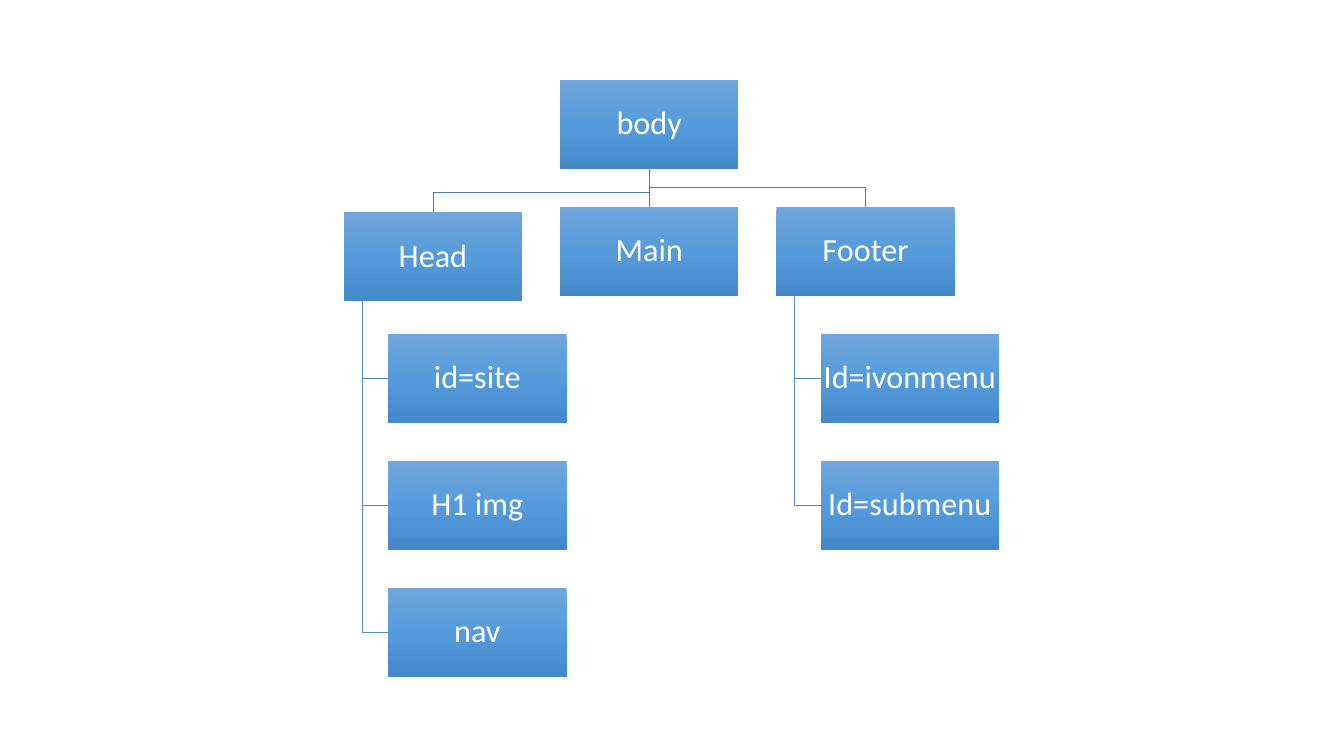
from copy import deepcopy
from dataclasses import dataclass

from pptx import Presentation
from pptx.dml.color import RGBColor
from pptx.enum.shapes import MSO_CONNECTOR as Link, MSO_SHAPE as Shape
from pptx.enum.text import MSO_ANCHOR as Anchor, PP_ALIGN as Align
from pptx.oxml.ns import qn
from pptx.shapes.shapetree import SlideShapes
from pptx.util import Inches, Pt
from lxml.etree import SubElement

WHITE = RGBColor(0xFF, 0xFF, 0xFF)
TRUNK = RGBColor(0x49, 0x7C, 0xAB)
TWIG = RGBColor(0x53, 0x8D, 0xC1)
SHADES = (
    RGBColor(0x71, 0xA6, 0xDB),
    RGBColor(0x55, 0x9B, 0xDB),
    RGBColor(0x44, 0x8A, 0xCA),
)
FONT = "Calibri"
WIDE, HIGH = 1.77, 0.89
LEFT, TOP = 3.41, 0.79
COL, ROW = 2.145, 1.26
INDENT, STEM, BEND = 0.44, 0.18, 0.19


@dataclass(frozen=True)
class Node:
    """A labelled box, placed by its top left corner in inches."""

    label: str
    left: float
    top: float

    @property
    def mid(self) -> float:
        """Centre of the box across."""
        return self.left + WIDE / 2

    @property
    def base(self) -> float:
        """Lower edge of the box."""
        return self.top + HIGH


@dataclass(frozen=True)
class Branch:
    """A child of the root, with its own children listed below it."""

    label: str
    leaves: tuple[str, ...] = ()
    drop: float = 0


BRANCHES = (
    Branch("Head", ("id=site", "H1 img", "nav"), 0.05),
    Branch("Main"),
    Branch("Footer", ("Id=ivonmenu", "Id=submenu")),
)


def draw_line(shapes: SlideShapes, points: list[tuple[float, float]],
              color: RGBColor) -> None:
    """Draw a straight connector or a bent open outline."""
    spots = [(Inches(x), Inches(y)) for x, y in points]
    if len(spots) == 2:
        line = shapes.add_connector(Link.STRAIGHT, *spots[0], *spots[1])
        SubElement(line._element.spPr, qn("a:effectLst"))
    else:
        pen = shapes.build_freeform(*spots[0])
        pen.add_line_segments(spots[1:], close=False)
        line = pen.convert_to_shape()
        line.fill.background()
        line.shadow.inherit = False
    line.line.color.rgb = color
    line.line.width = Pt(0.5)


def draw_node(shapes: SlideShapes, node: Node) -> None:
    """Draw a shaded box with its centred label."""
    box = shapes.add_shape(Shape.RECTANGLE, Inches(node.left), Inches(node.top),
                           Inches(WIDE), Inches(HIGH))
    box.shadow.inherit = False
    box.line.fill.background()
    box.fill.gradient()
    box.fill.gradient_angle = 270
    stops = box._element.spPr.find(f".//{qn('a:gsLst')}")
    stops.insert(1, deepcopy(stops[0]))
    for i, (stop, shade) in enumerate(zip(box.fill.gradient_stops, SHADES)):
        stop.position = i / 2
        stop.color.rgb = shade

    frame = box.text_frame
    frame.word_wrap = True
    frame.vertical_anchor = Anchor.MIDDLE
    frame.margin_left = frame.margin_right = Inches(0.02)
    frame.margin_top = frame.margin_bottom = Inches(0.02)
    para = frame.paragraphs[0]
    para.alignment = Align.CENTER
    para.line_spacing = 0.9
    run = para.add_run()
    run.text = node.label
    run.font.name = FONT
    run.font.size = Pt(23)
    run.font.color.rgb = WHITE


def draw_tree(shapes: SlideShapes) -> None:
    """Lay out the tree, drawing lines first and boxes over them."""
    root = Node("body", LEFT + COL, TOP)
    nodes = [root]
    for i, branch in enumerate(BRANCHES):
        head = Node(branch.label, LEFT + i * COL, TOP + ROW + branch.drop)
        nodes.append(head)
        start, end = (root.mid, root.base), (head.mid, head.top)
        bend = head.top - BEND
        turn = [] if head.mid == root.mid else [(root.mid, bend), (head.mid, bend)]
        draw_line(shapes, [start, *turn, end], TRUNK)
        stem = head.left + STEM
        for j, label in enumerate(branch.leaves, start=2):
            leaf = Node(label, head.left + INDENT, TOP + j * ROW)
            nodes.append(leaf)
            level = leaf.top + HIGH / 2
            draw_line(shapes, [(stem, head.base), (stem, level),
                               (leaf.left, level)], TWIG)
    for node in nodes:
        draw_node(shapes, node)


deck = Presentation()
deck.slide_width, deck.slide_height = Inches(13.33), Inches(7.5)
BLANK = 6
slide = deck.slides.add_slide(deck.slide_layouts[BLANK])
draw_tree(slide.shapes)
deck.save("out.pptx")
